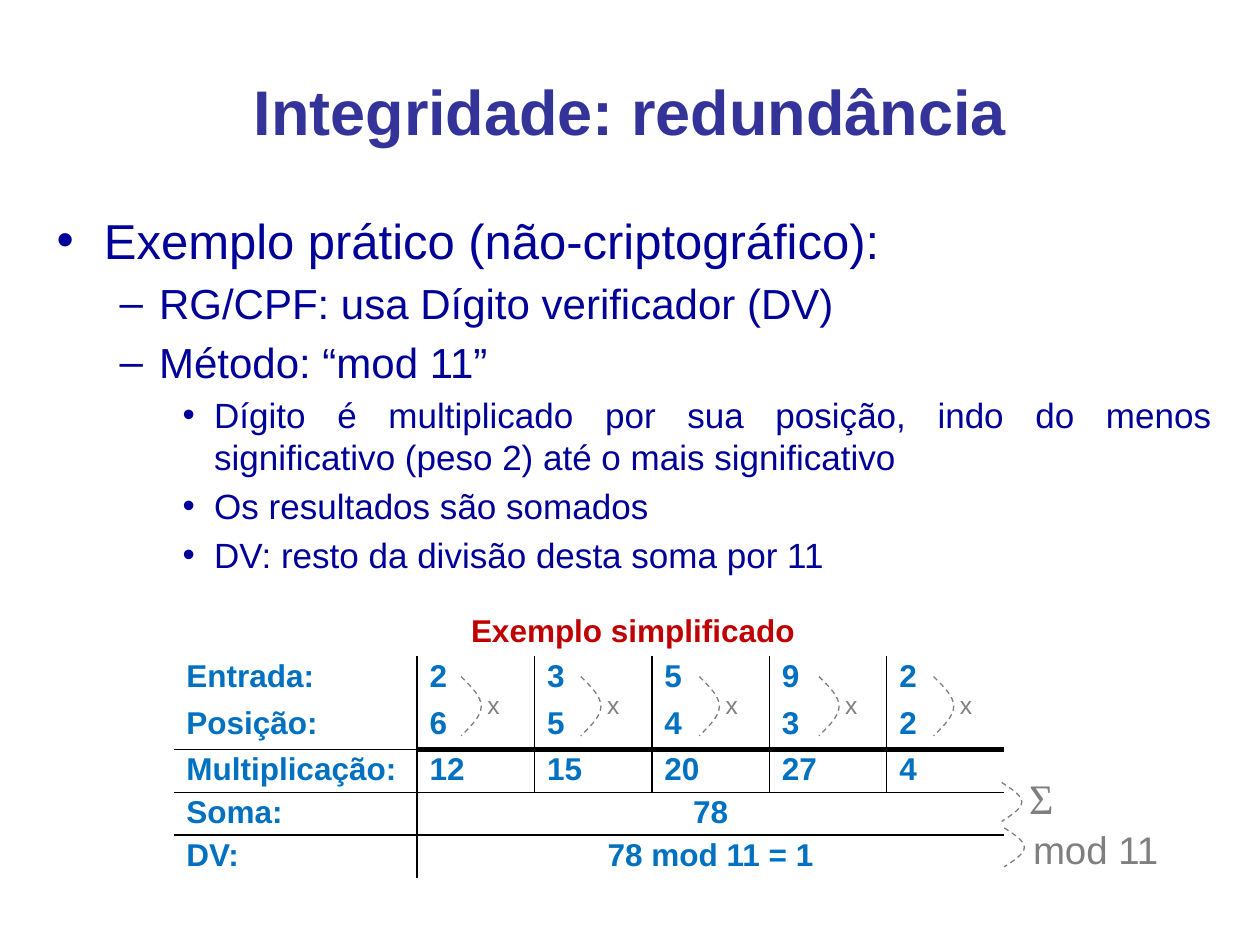
from dataclasses import dataclass

from pptx import Presentation
from pptx.dml.color import RGBColor
from pptx.enum.dml import MSO_LINE_DASH_STYLE as Dash
from pptx.enum.text import MSO_ANCHOR as Anchor, MSO_AUTO_SIZE as AutoSize, PP_ALIGN as Align
from pptx.oxml.ns import qn
from pptx.util import Inches, Pt
from lxml.etree import SubElement

COLORS = {"title": "333399", "body": "000099", "cell": "0070C0",
          "note": "7F7F7F", "caption": "C00000", "rule": "000000"}
PLAIN_TABLE_STYLE = "{2D5ABB26-0587-4C30-8999-92F81FD0307C}"


@dataclass
class Bullet:
    text: str
    level: int = 0


@dataclass
class Arc:
    """A dashed bracket that bulges right, with its label."""
    left: float
    top: float
    height: float
    label: str
    label_box: tuple
    size: int = 14
    font: str = "Arial"


BULLET_SIZES = (28, 24, 20)
BULLET_GAPS = (0, 4.8, 4)
BULLETS = [
    Bullet("Exemplo prático (não-criptográfico):"),
    Bullet("RG/CPF: usa Dígito verificador (DV)", 1),
    Bullet("Método: “mod 11”", 1),
    Bullet("Dígito é multiplicado por sua posição, indo do menos "
           "significativo (peso 2) até o mais significativo", 2),
    Bullet("Os resultados são somados", 2),
    Bullet("DV: resto da divisão desta soma por 11", 2),
]

ROWS = [
    ["Entrada:", "2", "3", "5", "9", "2"],
    ["Posição:", "6", "5", "4", "3", "2"],
    ["Multiplicação:", "12", "15", "20", "27", "4"],
    ["Soma:", "78"],
    ["DV:", "78 mod 11 = 1"],
]
TABLE_WIDTH, LABEL_WIDTH = 6.59, 1.93
COLUMN_WIDTHS = [LABEL_WIDTH] + [(TABLE_WIDTH - LABEL_WIDTH) / 5] * 5
ROW_HEIGHTS = [0.37, 0.37, 0.34, 0.34, 0.34]

PRODUCT_LEFTS = (3.66, 4.61, 5.55, 6.5, 7.41)
ARCS = [Arc(left, 5.37, 0.47, "x", (left + 0.11, 5.43, 0.29, 0.34))
        for left in PRODUCT_LEFTS] + [
    Arc(7.95, 6.21, 0.31, "Σ", (8.07, 6.08, 0.4, 0.51), 24, "Times New Roman"),
    Arc(7.97, 6.57, 0.31, "mod 11", (8.1, 6.51, 1.21, 0.47), 22),
]


def write(para, text: str, *, size: float, color: str, font: str = "Arial",
          bold: bool = False, align=Align.LEFT) -> None:
    para.alignment = align
    span = para.add_run()
    span.text = text
    span.font.name = font
    span.font.size = Pt(size)
    span.font.bold = bold
    span.font.color.rgb = RGBColor.from_string(COLORS[color])


def place(shape, left: float, top: float, width: float, height: float) -> None:
    shape.left, shape.top = Inches(left), Inches(top)
    shape.width, shape.height = Inches(width), Inches(height)


def add_label(page, box: tuple, text: str, **style) -> None:
    label = page.shapes.add_textbox(*map(Inches, box))
    label.text_frame.word_wrap = True
    label.text_frame.auto_size = AutoSize.SHAPE_TO_FIT_TEXT
    write(label.text_frame.paragraphs[0], text, **style)


def add_bullets(body, bullets: list[Bullet]) -> None:
    frame = body.text_frame
    frame.auto_size = AutoSize.NONE
    for index, bullet in enumerate(bullets):
        para = frame.add_paragraph() if index else frame.paragraphs[0]
        para.level = bullet.level
        para.space_before = Pt(BULLET_GAPS[bullet.level])
        write(para, bullet.text, size=BULLET_SIZES[bullet.level],
              color="body", align=Align.JUSTIFY)


def set_border(cell, side: str, points: float) -> None:
    """Rule one side (L, R, T or B) of a cell; zero points means no line."""
    if points:
        line = SubElement(cell._tc.get_or_add_tcPr(), qn(f"a:ln{side}"), w=str(Pt(points)))
        fill = SubElement(line, qn("a:solidFill"))
        SubElement(fill, qn("a:srgbClr"), val=COLORS["rule"])


def rule_below(row: int, column: int) -> float:
    """Weight of the rule under a row: heavy under the factors."""
    if row not in (1, 2, 3):
        return 0
    return 3 if row == 1 and column else 1


def add_calculation(page) -> None:
    last = len(COLUMN_WIDTHS) - 1
    frame = page.shapes.add_table(
        len(ROWS), last + 1, Inches(1.38), Inches(5.21),
        Inches(TABLE_WIDTH), Inches(sum(ROW_HEIGHTS)))
    table = frame.table
    table.first_row = table.horz_banding = False
    table._tbl.tblPr.find(qn("a:tableStyleId")).text = PLAIN_TABLE_STYLE
    for column, width in zip(table.columns, COLUMN_WIDTHS):
        column.width = Inches(width)
    for row, height in zip(table.rows, ROW_HEIGHTS):
        row.height = Inches(height)

    for r, texts in enumerate(ROWS):
        merged = len(texts) == 2
        if merged:
            table.cell(r, 1).merge(table.cell(r, last))
        for c in range(last + 1):
            cell = table.cell(r, c)
            set_border(cell, "L", int(c == 1 or (c > 1 and not merged)))
            set_border(cell, "R", int(c < last and not (merged and c)))
            set_border(cell, "T", rule_below(r - 1, c))
            set_border(cell, "B", rule_below(r, c))
            cell.fill.background()
            cell.margin_left = cell.margin_right = Inches(0.1)
            cell.margin_top = cell.margin_bottom = Inches(0.02)
            if c < len(texts):
                write(cell.text_frame.paragraphs[0], texts[c], size=18,
                      color="cell", bold=True,
                      align=Align.CENTER if merged and c else Align.LEFT)


def bend(curve) -> None:
    """Turn the two straight segments of a bracket into Bézier curves."""
    width, height = curve.width, curve.height
    halves = [[(width // 2, height // 6), (width, height // 3), (width, height // 2)],
              [(width, height * 2 // 3), (width // 2, height * 5 // 6), (0, height)]]
    segments = list(curve._element.iter(qn("a:lnTo")))
    for segment, points in zip(segments, halves):
        outline = segment.getparent()
        outline.remove(segment)
        bezier = SubElement(outline, qn("a:cubicBezTo"))
        for x, y in points:
            SubElement(bezier, qn("a:pt"), x=str(x), y=str(y))


def add_arc(page, arc: Arc, width: float = 0.16) -> None:
    left, right = Inches(arc.left), Inches(arc.left + width)
    builder = page.shapes.build_freeform(left, Inches(arc.top))
    builder.add_line_segments([(right, Inches(arc.top + arc.height / 2)),
                               (left, Inches(arc.top + arc.height))], close=False)
    curve = builder.convert_to_shape()
    bend(curve)
    curve.shadow.inherit = False
    curve.fill.background()
    curve.line.color.rgb = RGBColor.from_string(COLORS["note"])
    curve.line.width = Pt(0.75)
    curve.line.dash_style = Dash.DASH
    add_label(page, arc.label_box, arc.label, size=arc.size, font=arc.font, color="note")


def main() -> None:
    deck = Presentation()
    deck.slide_width, deck.slide_height = Inches(10), Inches(7.5)
    page = deck.slides.add_slide(deck.slide_layouts[1])
    title, body = page.placeholders

    place(title, 0.75, 0.25, 8.5, 1.25)
    title.text_frame.vertical_anchor = Anchor.MIDDLE
    write(title.text_frame.paragraphs[0], "Integridade: redundância",
          size=36, color="title", bold=True, align=Align.CENTER)
    place(body, 0.35, 1.62, 9.37, 2.91)
    add_bullets(body, BULLETS)

    add_calculation(page)
    for arc in ARCS:
        add_arc(page, arc)
    add_label(page, (3.64, 4.8, 2.8, 0.4), "Exemplo simplificado",
              size=18, color="caption", bold=True)
    deck.save("out.pptx")


if __name__ == "__main__":
    main()
